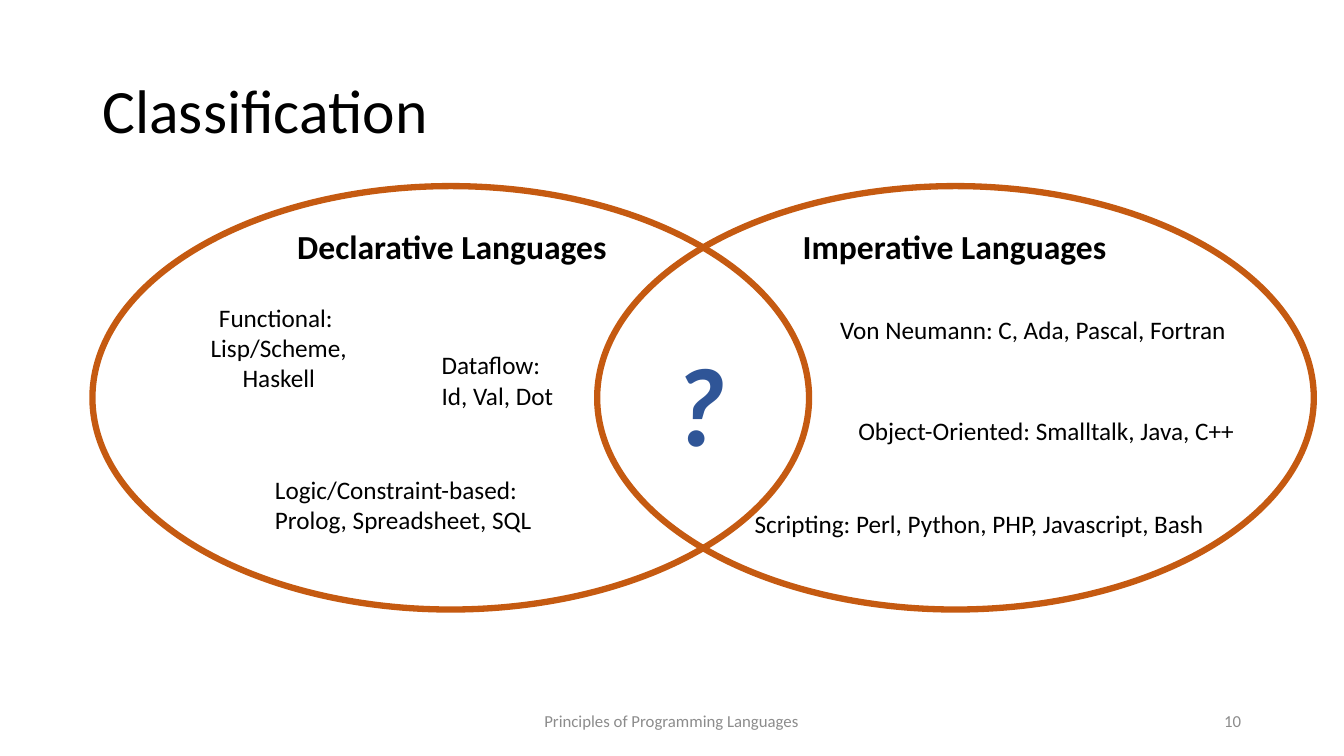
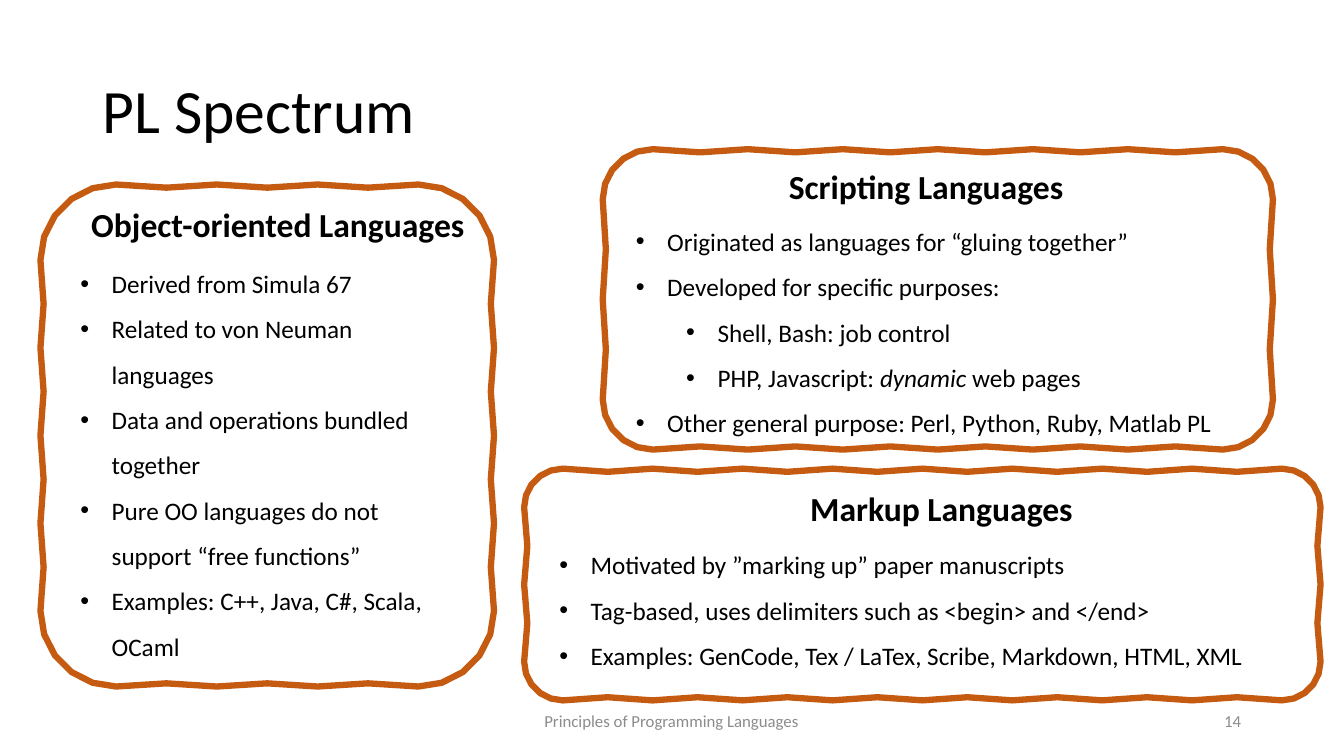
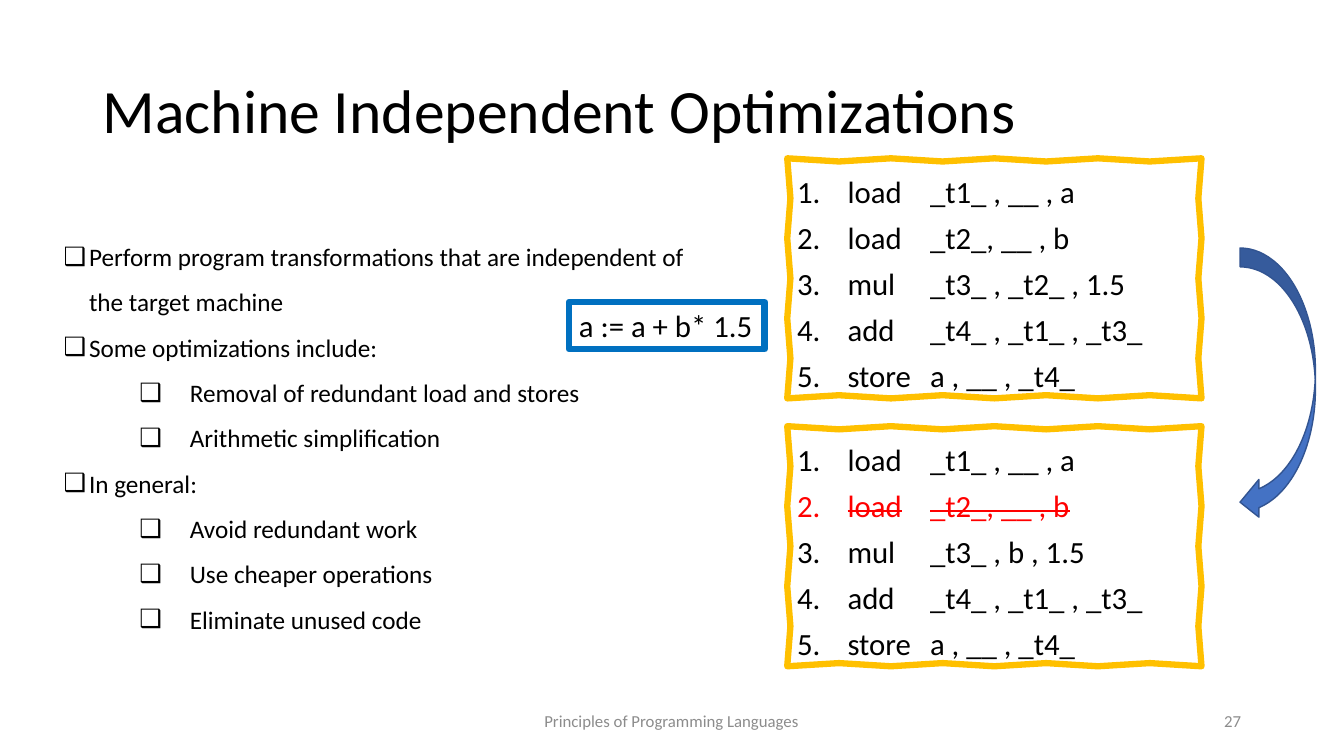
"""Build three slides on programming language families and optimization."""
from dataclasses import dataclass, field, replace
from math import cos, pi, sin
from typing import NamedTuple, Optional, Sequence

from lxml import etree
from pptx import Presentation
from pptx import presentation as pr
from pptx import slide as sl
from pptx import util as u
from pptx.dml import color as dml
from pptx.enum import shapes, text
from pptx.oxml import ns
from pptx.shapes import base
from pptx.text import text as tx


@dataclass(frozen=True)
class Theme:
    font: str = "Calibri"
    ink: str = "000000"
    muted: str = "8C8C8C"
    orange: str = "C55A11"
    gold: str = "FFC000"
    blue: str = "0070C0"
    navy: str = "2F5597"
    arrow: str = "4472C4"
    arrow_edge: str = "325491"
    red: str = "FF0000"
    title_size: float = 44
    heading_size: float = 24
    code_size: float = 22
    body_size: float = 18
    footer_size: float = 12
    mark_size: float = 80
    outline: float = 4.5


THEME = Theme()


class Box(NamedTuple):
    left: float
    top: float
    width: float
    height: float

    def lengths(self) -> list[int]:
        return [u.Cm(value) for value in self]


class Indent(NamedTuple):
    margin: float
    hanging: float


@dataclass(frozen=True)
class Marker:
    symbol: Optional[str]
    indents: tuple[Indent, ...]
    tab_stops: tuple[float, ...] = ()


@dataclass(frozen=True)
class Style:
    size: float = THEME.body_size
    color: str = THEME.ink
    bold: bool = False
    italic: bool = False
    align: text.PP_ALIGN = text.PP_ALIGN.LEFT
    anchor: text.MSO_ANCHOR = text.MSO_ANCHOR.TOP
    spacing: float = 1.0
    marker: Optional[Marker] = None
    wrap: bool = True


@dataclass(frozen=True)
class Item:
    text: str
    level: int = 0
    italic: str = ""
    struck: bool = False


@dataclass(frozen=True)
class Label:
    box: Box
    lines: tuple[str, ...]
    style: Style = field(default_factory=lambda: LABEL)


@dataclass(frozen=True)
class Panel:
    frame: Box
    heading: Label
    list_box: Box
    items: tuple[Item, ...]


DOTS = Marker("•", (Indent(0.79, -0.79), Indent(2.06, -0.79)))
SQUARES = Marker("❑", (Indent(0.64, -0.64), Indent(3.18, -1.27)))
NUMBERS = Marker(None, (Indent(1.27, -1.27),), (2.08, 3.35))

LABEL = Style(wrap=False)
CENTERED = replace(LABEL, align=text.PP_ALIGN.CENTER)
HEADING = replace(LABEL, size=THEME.heading_size, bold=True)
QUESTION = Style(THEME.mark_size, THEME.navy, bold=True, italic=True, wrap=False)
TITLE = Style(THEME.title_size, anchor=text.MSO_ANCHOR.MIDDLE, spacing=0.9)
FOOTER = Style(THEME.footer_size, THEME.muted, align=text.PP_ALIGN.CENTER,
               anchor=text.MSO_ANCHOR.MIDDLE)
NUMBER = replace(FOOTER, align=text.PP_ALIGN.RIGHT)
DOTTED = Style(spacing=1.5, marker=DOTS)
SQUARED = Style(spacing=1.5, marker=SQUARES)
CODE = Style(THEME.code_size, spacing=1.25, marker=NUMBERS)
FORMULA = Style(THEME.code_size, wrap=False)

TITLE_BOX = Box(2.33, 1.02, 29.21, 3.68)
FOOTER_BOX = Box(11.21, 17.65, 11.43, 1.02)
NUMBER_BOX = Box(23.91, 17.65, 7.62, 1.02)

CIRCLES = [Box(left, 4.69, 18.06, 10.67) for left in (2.33, 15.05)]
LABELS = (
    Label(Box(7.24, 5.56, 8.41, 1.27), ("Declarative Languages",), HEADING),
    Label(Box(19.98, 5.56, 8.26, 1.27), ("Imperative Languages",), HEADING),
    Label(Box(5.03, 7.49, 3.99, 2.57),
          ("Functional: ", "Lisp/Scheme,", "Haskell"), CENTERED),
    Label(Box(10.88, 8.69, 3.35, 1.8), ("Dataflow:", "Id, Val, Dot")),
    Label(Box(6.68, 11.83, 7.21, 1.8),
          ("Logic/Constraint-based:", "Prolog, Spreadsheet, SQL")),
    Label(Box(20.92, 7.8, 10.34, 1.02), ("Von Neumann: C, Ada, Pascal, Fortran",)),
    Label(Box(21.38, 10.34, 10.08, 1.02),
          ("Object-Oriented: Smalltalk, Java, C++",)),
    Label(Box(18.77, 12.69, 11.94, 1.02),
          ("Scripting: Perl, Python, PHP, Javascript, Bash",)),
    Label(Box(16.72, 8.31, 1.83, 3.68), ("?",), QUESTION),
)

PANELS = (
    Panel(
        Box(1.02, 4.65, 11.43, 12.65),
        Label(Box(2.05, 5.02, 10.01, 1.27), ("Object-oriented Languages",), HEADING),
        Box(1.77, 6.25, 10.01, 10.52),
        (Item("Derived from Simula 67"),
         Item("Related to von Neuman languages"),
         Item("Data and operations bundled together"),
         Item("Pure OO languages do not support “free functions”"),
         Item("Examples: C++, Java, C#, Scala, OCaml")),
    ),
    Panel(
        Box(15.19, 3.76, 16.89, 7.57),
        Label(Box(19.63, 4.06, 7.49, 1.27), ("Scripting Languages",), HEADING),
        Box(15.77, 5.19, 16.31, 5.92),
        (Item("Originated as languages for “gluing together”"),
         Item("Developed for specific purposes:"),
         Item("Shell, Bash: job control", 1),
         Item("PHP, Javascript: dynamic web pages", 1, italic="dynamic"),
         Item("Other general purpose: Perl, Python, Ruby, Matlab PL")),
    ),
    Panel(
        Box(13.21, 11.81, 20.07, 5.84),
        Label(Box(20.17, 12.17, 7.19, 1.27), ("Markup Languages",), HEADING),
        Box(13.84, 13.34, 19.08, 3.61),
        (Item("Motivated by ”marking up” paper manuscripts"),
         Item("Tag-based, uses delimiters such as <begin> and </end>"),
         Item("Examples: GenCode, Tex / LaTex, Scribe, Markdown, HTML, XML")),
    ),
)

OPTIMIZATIONS = (
    Item("Perform program transformations that are independent of the target machine"),
    Item("Some optimizations include:"),
    Item("Removal of redundant load and stores", 1),
    Item("Arithmetic simplification", 1),
    Item("In general:"),
    Item("Avoid redundant work", 1),
    Item("Use cheaper operations", 1),
    Item("Eliminate unused code", 1),
)
BEFORE = (
    Item("load\t_t1_ , __ , a"),
    Item("load\t_t2_, __ , b"),
    Item("mul\t_t3_ , _t2_ , 1.5"),
    Item("add\t_t4_ , _t1_ , _t3_"),
    Item("store\ta , __ , _t4_"),
)
AFTER = (BEFORE[0], replace(BEFORE[1], struck=True),
         Item("mul\t_t3_ , b , 1.5"), *BEFORE[3:])


def mark(para: tx._Paragraph, marker: Marker, level: int) -> None:
    """Give a paragraph its indent, bullet or number, and tab stops."""
    props = para._p.get_or_add_pPr()
    indent = marker.indents[level]
    props.set("marL", str(u.Cm(indent.margin)))
    props.set("indent", str(u.Cm(indent.hanging)))
    if marker.symbol:
        etree.SubElement(props, ns.qn("a:buFont"), typeface="Arial")
        etree.SubElement(props, ns.qn("a:buChar"), char=marker.symbol)
    else:
        etree.SubElement(props, ns.qn("a:buFont"), typeface=THEME.font)
        etree.SubElement(props, ns.qn("a:buAutoNum"), type="arabicPeriod")
    if marker.tab_stops:
        stops = etree.SubElement(props, ns.qn("a:tabLst"))
        for stop in marker.tab_stops:
            etree.SubElement(stops, ns.qn("a:tab"), pos=str(u.Cm(stop)), algn="l")


def write(frame: tx.TextFrame, items: Sequence[Item], style: Style) -> None:
    """Fill a text frame with one paragraph per item."""
    frame.auto_size = text.MSO_AUTO_SIZE.NONE
    frame.word_wrap = style.wrap
    frame.vertical_anchor = style.anchor
    for index, item in enumerate(items):
        para = frame.add_paragraph() if index else frame.paragraphs[0]
        para.level = item.level
        if style.marker:
            mark(para, style.marker, item.level)
        para.alignment = style.align
        para.line_spacing = style.spacing
        para.space_before = u.Pt(0)
        para.font.name = THEME.font
        para.font.size = u.Pt(style.size)
        para.font.bold = style.bold
        para.font.italic = style.italic
        color = THEME.red if item.struck else style.color
        para.font.color.rgb = dml.RGBColor.from_string(color)
        parts = item.text.partition(item.italic) if item.italic else (item.text,)
        for part in parts:
            span = para.add_run()
            span.text = part
            if part == item.italic:
                span.font.italic = True
            if item.struck:
                span._r.get_or_add_rPr().set("strike", "sngStrike")


def place(shape: base.BaseShape, box: Box) -> None:
    """Move a shape to a box."""
    shape.left, shape.top, shape.width, shape.height = box.lengths()


def add_label(page: sl.Slide, label: Label) -> None:
    """Add a text box."""
    shape = page.shapes.add_textbox(*label.box.lengths())
    write(shape.text_frame, [Item(line) for line in label.lines], label.style)


def finish(shape: base.BaseShape, line: str, width: float = THEME.outline,
           fill: Optional[str] = None) -> base.BaseShape:
    """Set the outline and fill of a shape and drop its shadow."""
    shape.shadow.inherit = False
    shape.line.color.rgb = dml.RGBColor.from_string(line)
    shape.line.width = u.Pt(width)
    if fill:
        shape.fill.solid()
        shape.fill.fore_color.rgb = dml.RGBColor.from_string(fill)
    else:
        shape.fill.background()
    return shape


def wavy_outline(box: Box, radius: float) -> list[tuple[int, int]]:
    """Trace an uneven rectangle clockwise, with rounded corners if asked."""
    points = []
    x, y = box.left + radius, box.top
    for turn, side in enumerate((box.width, box.height) * 2):
        heading = turn * pi / 2
        across, down = cos(heading), sin(heading)
        length = side - 2 * radius
        steps = 2 * round(length / 2.4)
        for step in range(steps):
            along = length * step / steps
            sway = 0.08 * (step % 2)
            points.append((x + across * along - down * sway,
                           y + down * along + across * sway))
        x, y = x + across * length, y + down * length
        if radius:
            middle_x, middle_y = x - down * radius, y + across * radius
            for step in range(5):
                angle = heading - pi / 2 + step * pi / 10
                points.append((middle_x + radius * cos(angle),
                               middle_y + radius * sin(angle)))
            x, y = middle_x + radius * across, middle_y + radius * down
    return [(u.Cm(left), u.Cm(top)) for left, top in points]


def add_wavy_frame(page: sl.Slide, box: Box, line: str,
                   radius: float = 0) -> base.BaseShape:
    """Add a frame with an uneven outline."""
    start, *others = wavy_outline(box, radius)
    builder = page.shapes.build_freeform(*start, scale=1.0)
    builder.add_line_segments(others, close=True)
    return finish(builder.convert_to_shape(), line)


def add_page(deck: pr.Presentation, layout: int, title: str, number: int,
             title_box: Box = TITLE_BOX) -> sl.Slide:
    """Add a slide with its title, footer and number."""
    page = deck.slides.add_slide(deck.slide_layouts[layout])
    place(page.shapes.title, title_box)
    write(page.shapes.title.text_frame, [Item(title)], TITLE)
    add_label(page, Label(FOOTER_BOX, ("Principles of Programming Languages",), FOOTER))
    add_label(page, Label(NUMBER_BOX, (str(number),), NUMBER))
    return page


def add_classification(deck: pr.Presentation) -> None:
    """Draw two overlapping language families."""
    page = add_page(deck, 5, "Classification", 10)
    for circle in CIRCLES:
        finish(page.shapes.add_shape(shapes.MSO_SHAPE.OVAL, *circle.lengths()),
               THEME.orange)
    for label in LABELS:
        add_label(page, label)


def add_spectrum(deck: pr.Presentation) -> None:
    """Draw three framed lists."""
    page = add_page(deck, 4, "PL Spectrum", 14)
    _, *bodies = page.placeholders
    for panel, body in zip(PANELS, bodies):
        add_wavy_frame(page, panel.frame, THEME.orange,
                       min(panel.frame.width, panel.frame.height) / 6)
        add_label(page, panel.heading)
        place(body, panel.list_box)
        write(body.text_frame, panel.items, DOTTED)
    for body in bodies[len(PANELS):]:
        body._element.getparent().remove(body._element)


def add_optimizations(deck: pr.Presentation) -> None:
    """Draw the optimization list beside the code before and after."""
    page = add_page(deck, 1, "Machine Independent Optimizations", 27,
                    TITLE_BOX._replace(width=24))
    body = page.placeholders[1]
    place(body, Box(1.35, 5.57, 16.54, 10.52))
    write(body.text_frame, OPTIMIZATIONS, SQUARED)
    for top, code in ((3.99, BEFORE), (10.74, AFTER)):
        frame = add_wavy_frame(page, Box(19.84, top, 10.44, 6.05), THEME.gold)
        write(frame.text_frame, code, CODE)
    arrow = page.shapes.add_shape(shapes.MSO_SHAPE.CURVED_DOWN_ARROW,
                                  *Box(28.76, 8.74, 6.88, 1.9).lengths())
    arrow.rotation = 90
    finish(arrow, THEME.arrow_edge, 1, THEME.arrow)
    formula = page.shapes.add_shape(shapes.MSO_SHAPE.RECTANGLE,
                                    *Box(14.34, 7.61, 4.93, 1.19).lengths())
    finish(formula, THEME.blue)
    write(formula.text_frame, [Item("a := a + b* 1.5")], FORMULA)


def main() -> None:
    """Build and save the deck."""
    deck = Presentation()
    deck.slide_width, deck.slide_height = u.Cm(33.87), u.Cm(19.05)
    add_classification(deck)
    add_spectrum(deck)
    add_optimizations(deck)
    deck.save("out.pptx")


if __name__ == "__main__":
    main()
